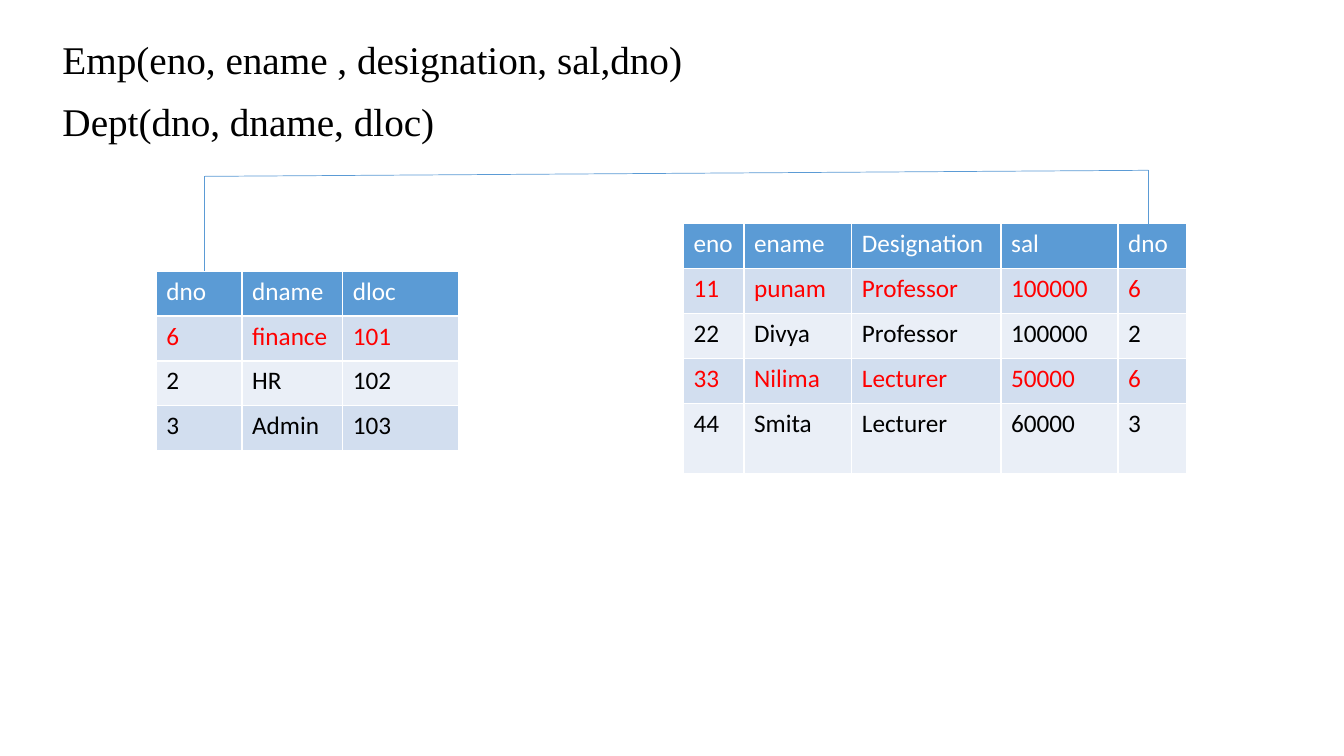
from itertools import pairwise
from pptx import Presentation, util as u
from pptx.dml import color
from pptx.enum import shapes, text
from pptx.oxml import ns
from lxml import etree

WIDE, HIGH = 13.33, 7.5
BLUE, RED, BLACK, WHITE = "5B9BD5", "FF0000", "000000", "FFFFFF"
BANDS = ("D2DEEF", "EAEFF7")
ROW = 5.94

HEADS = ["Emp(eno, ename , designation, sal,dno)", "Dept(dno, dname, dloc)"]
EMP = [
    ["eno", "ename", "Designation", "sal", "dno"],
    ["11", "punam", "Professor", "100000", "6"],
    ["22", "Divya", "Professor", "100000", "2"],
    ["33", "Nilima", "Lecturer", "50000", "6"],
    ["44", "Smita", "Lecturer", "60000", "3"],
]
DEPT = [
    ["dno", "dname", "dloc"],
    ["6", "finance", "101"],
    ["2", "HR", "102"],
    ["3", "Admin", "103"],
]


def across(share):
    return u.Inches(WIDE * share / 100)


def down(share):
    return u.Inches(HIGH * share / 100)


def paint(part, code):
    part.rgb = color.RGBColor.from_string(code)


def style(item, **look):
    for key, value in look.items():
        setattr(item, key, value)


def add_head(slide):
    head = slide.shapes.title
    style(head, left=across(3.9), top=down(3.6), width=across(50), height=down(16.27))
    frame = head.text_frame
    frame.text = "\n".join(HEADS)
    style(frame, word_wrap=True, auto_size=text.MSO_AUTO_SIZE.NONE,
          vertical_anchor=text.MSO_ANCHOR.TOP)
    for line in frame.paragraphs:
        style(line, alignment=text.PP_ALIGN.LEFT, line_spacing=1.07,
              space_before=u.Pt(0), space_after=u.Pt(8))
        style(line.font, name="Times New Roman", size=u.Pt(28), bold=False)
        paint(line.font.color, BLACK)


def add_grid(slide, data, left, top, cols, rows, key):
    frame = slide.shapes.add_table(len(data), len(cols), across(left), down(top),
                                   across(sum(cols)), down(sum(rows)))
    grid = frame.table
    for col, share in zip(grid.columns, cols):
        col.width = across(share)
    for row, share in zip(grid.rows, rows):
        row.height = down(share)
    for r, line in enumerate(data):
        fill = BANDS[(r - 1) % 2] if r else BLUE
        ink = WHITE if r == 0 else RED if line[key] == "6" else BLACK
        for c, word in enumerate(line):
            cell = grid.cell(r, c)
            cell.text = word
            cell.fill.solid()
            paint(cell.fill.fore_color, fill)
            font = cell.text_frame.paragraphs[0].runs[0].font
            style(font, name="Calibri", size=u.Pt(18), bold=False)
            paint(font.color, ink)


def add_link(slide, points):
    for (x, y), (to_x, to_y) in pairwise(points):
        link = slide.shapes.add_connector(shapes.MSO_CONNECTOR.STRAIGHT, across(x), down(y),
                                          across(to_x), down(to_y))
        link.line.width = u.Pt(0.5)
        paint(link.line.color, BLUE)
        etree.SubElement(link._element.spPr, ns.qn("a:effectLst"))


def main():
    deck = Presentation()
    style(deck, slide_width=across(100), slide_height=down(100))
    slide = deck.slides.add_slide(deck.slide_layouts.get_by_name("Title Only"))
    add_head(slide)
    add_grid(slide, EMP, 50.86, 29.6, [4.5, 8.03, 11.1, 8.7, 5.1], [ROW] * 4 + [9.27], key=4)
    add_grid(slide, DEPT, 11.63, 35.87, [6.38, 7.5, 8.63], [ROW] * 4, key=0)
    add_link(slide, [(15.23, 35.87), (15.23, 23.33), (85.45, 22.53), (85.45, 31.73)])
    deck.save("out.pptx")


if __name__ == "__main__":
    main()
